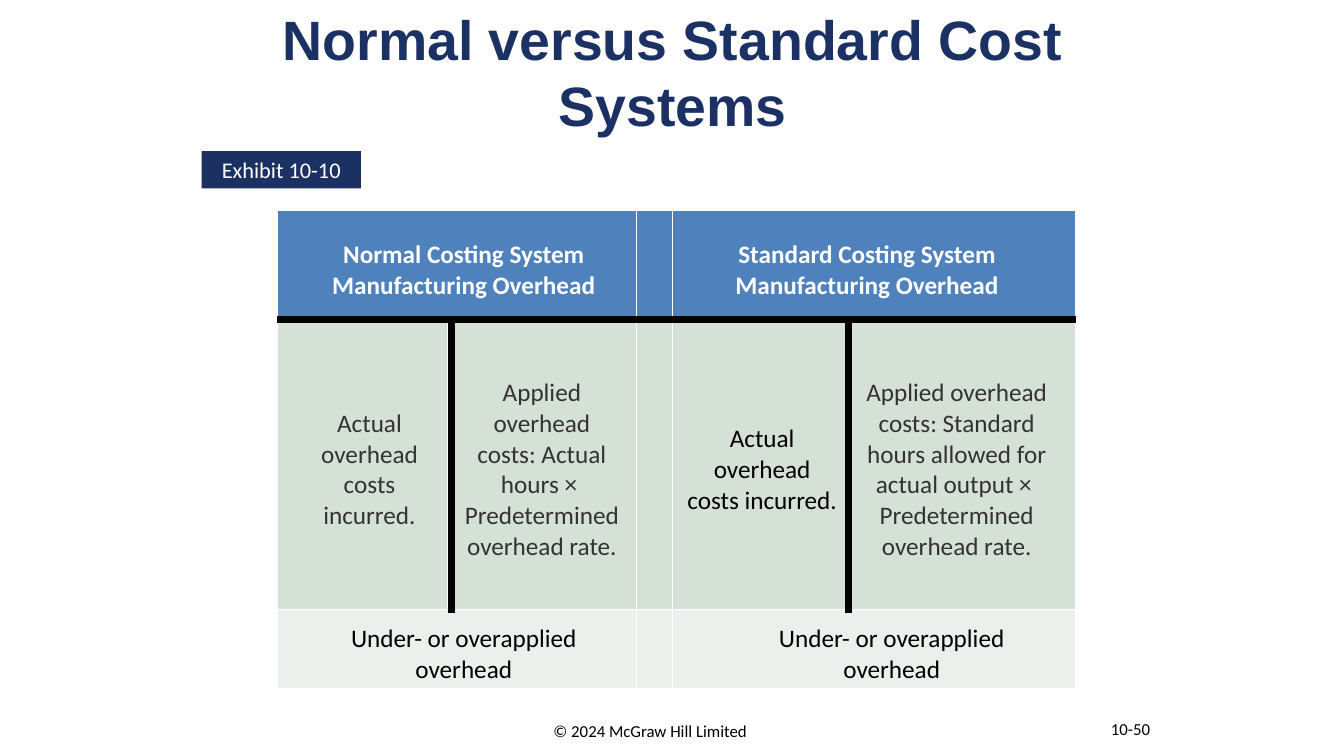
from lxml import etree
from pptx import Presentation
from pptx.dml.color import RGBColor
from pptx.enum.shapes import MSO_CONNECTOR, MSO_SHAPE
from pptx.enum.text import MSO_ANCHOR, MSO_AUTO_SIZE, PP_ALIGN
from pptx.oxml.ns import qn
from pptx.util import Inches, Pt

CENTER, LEFT = PP_ALIGN.CENTER, PP_ALIGN.LEFT
MIDDLE, TOP = MSO_ANCHOR.MIDDLE, MSO_ANCHOR.TOP
NO_AUTOFIT = MSO_AUTO_SIZE.NONE
RECTANGLE, STRAIGHT = MSO_SHAPE.RECTANGLE, MSO_CONNECTOR.STRAIGHT

COLORS = {
    "navy": "1C3163", "blue": "4F81BD", "sage": "D5E0D6", "mist": "EBF0EC",
    "white": "FFFFFF", "black": "000000", "charcoal": "333333",
}
COLUMN_WIDTHS = [1.69, 1.87, 0.36, 1.78, 2.22]
ROW_HEIGHTS = [1.08, 2.88, 0.78]
ROW_FILLS = ["blue", "sage", "mist"]
MERGED_ROWS, MERGED_COLUMNS = (0, 2), (0, 3)
OUTER, INNER = 0.28, 0.14
ENTRIES = [
    (0, 0, "Normal Costing System\vManufacturing Overhead", "white", OUTER, INNER),
    (0, 3, "Standard Costing System\vManufacturing Overhead", "white", INNER, OUTER),
    (1, 0, "Actual overhead costs incurred.", "charcoal", OUTER, INNER),
    (1, 1, "Applied overhead costs: Actual hours × \vPredetermined overhead rate.",
     "charcoal", INNER, INNER),
    (1, 3, "Actual overhead costs incurred.", "black", INNER, INNER),
    (1, 4, "Applied overhead costs: Standard hours allowed for actual output × \v"
     "Predetermined overhead rate.", "charcoal", INNER, OUTER),
    (2, 0, "Under- or overapplied overhead", "black", OUTER, INNER),
    (2, 3, "Under- or overapplied overhead", "black", 0.63, OUTER),
]


def rgb(color):
    return RGBColor.from_string(COLORS[color])


def write(frame, text, size, color, font="Calibri", bold=False, align=CENTER):
    frame.text = text
    paragraph = frame.paragraphs[0]
    paragraph.alignment = align
    for run in paragraph.runs:
        for attribute, value in {"name": font, "size": Pt(size), "bold": bold}.items():
            setattr(run.font, attribute, value)
        run.font.color.rgb = rgb(color)


def add_title(slide, left, top, width, height):
    title = slide.shapes.title
    place = {"left": left, "top": top, "width": width, "height": height}
    for attribute, value in place.items():
        setattr(title, attribute, Inches(value))
    frame = title.text_frame
    layout = {"word_wrap": True, "auto_size": NO_AUTOFIT, "vertical_anchor": TOP}
    for attribute, value in layout.items():
        setattr(frame, attribute, value)
    write(frame, "Normal versus Standard Cost Systems", 39.6, "navy", "Arial", True)


def add_exhibit_tag(slide, left, top, width, height):
    tag = slide.shapes.add_shape(
        RECTANGLE, Inches(left), Inches(top), Inches(width), Inches(height))
    tag.shadow.inherit = False
    tag.fill.solid()
    tag.fill.fore_color.rgb = rgb("navy")
    tag.line.fill.background()
    tag.text_frame.vertical_anchor = MIDDLE
    write(tag.text_frame, "Exhibit 10-10", 16, "white")


def add_borders(cell, bottom_width):
    properties = cell._tc.get_or_add_tcPr()
    widths = {"a:lnL": 1, "a:lnR": 1, "a:lnT": 1, "a:lnB": bottom_width}
    for side, width in widths.items():
        border = etree.SubElement(properties, qn(side), w=str(Pt(width)))
        fill = etree.SubElement(border, qn("a:solidFill"))
        etree.SubElement(fill, qn("a:srgbClr"), val=COLORS["white"])


def add_rule(slide, x1, y1, x2, y2):
    rule = slide.shapes.add_connector(
        STRAIGHT, Inches(x1), Inches(y1), Inches(x2), Inches(y2))
    rule.line.color.rgb = rgb("black")
    rule.line.width = Pt(5)
    etree.SubElement(rule._element.spPr, qn("a:effectLst"))


def add_cost_comparison(slide, left, top):
    width, height = sum(COLUMN_WIDTHS), sum(ROW_HEIGHTS)
    comparison = slide.shapes.add_table(
        len(ROW_HEIGHTS), len(COLUMN_WIDTHS),
        Inches(left), Inches(top), Inches(width), Inches(height)).table
    comparison.first_row = comparison.horz_banding = False
    for column, column_width in zip(comparison.columns, COLUMN_WIDTHS):
        column.width = Inches(column_width)
    for index, (row, row_height) in enumerate(zip(comparison.rows, ROW_HEIGHTS)):
        row.height = Inches(row_height)
        for cell in row.cells:
            add_borders(cell, 3 if index == 0 else 1)
            cell.fill.solid()
            cell.fill.fore_color.rgb = rgb(ROW_FILLS[index])
    for row in MERGED_ROWS:
        for column in MERGED_COLUMNS:
            comparison.cell(row, column).merge(comparison.cell(row, column + 1))
    for row, column, text, color, left_inset, right_inset in ENTRIES:
        cell = comparison.cell(row, column)
        insets = {"margin_left": left_inset, "margin_top": 0.14,
                  "margin_right": right_inset, "margin_bottom": 0.04}
        for attribute, value in insets.items():
            setattr(cell, attribute, Inches(value))
        cell.vertical_anchor = MIDDLE
        write(cell.text_frame, text, 18, color, bold=row == 0)

    header_bottom = top + ROW_HEIGHTS[0]
    right = left + width
    add_rule(slide, left, header_bottom, left + 3.92, header_bottom)
    add_rule(slide, left + 3.83, header_bottom, right, header_bottom)
    for stem in (left + 1.73, left + 5.67):
        add_rule(slide, stem, header_bottom, stem, header_bottom + 2.91)


def add_footer_text(slide, left, top, width, height, text, align):
    footer = slide.shapes.add_textbox(
        Inches(left), Inches(top), Inches(width), Inches(height))
    footer.text_frame.word_wrap = True
    write(footer.text_frame, text, 12, "black", align=align)


def main():
    deck = Presentation()
    deck.slide_width, deck.slide_height = Inches(13.33), Inches(7.5)
    slide = deck.slides.add_slide(deck.slide_layouts[5])
    add_footer_text(slide, 3.56, 7.1, 5.78, 0.4, "© 2024 McGraw Hill Limited", CENTER)
    add_title(slide, 1.67, 0, 10, 0.87)
    add_cost_comparison(slide, 2.75, 2.09)
    add_exhibit_tag(slide, 2, 1.5, 1.58, 0.37)
    add_footer_text(slide, 10.92, 7.08, 0.75, 0.3, "10-50", LEFT)
    deck.save("out.pptx")


if __name__ == "__main__":
    main()
